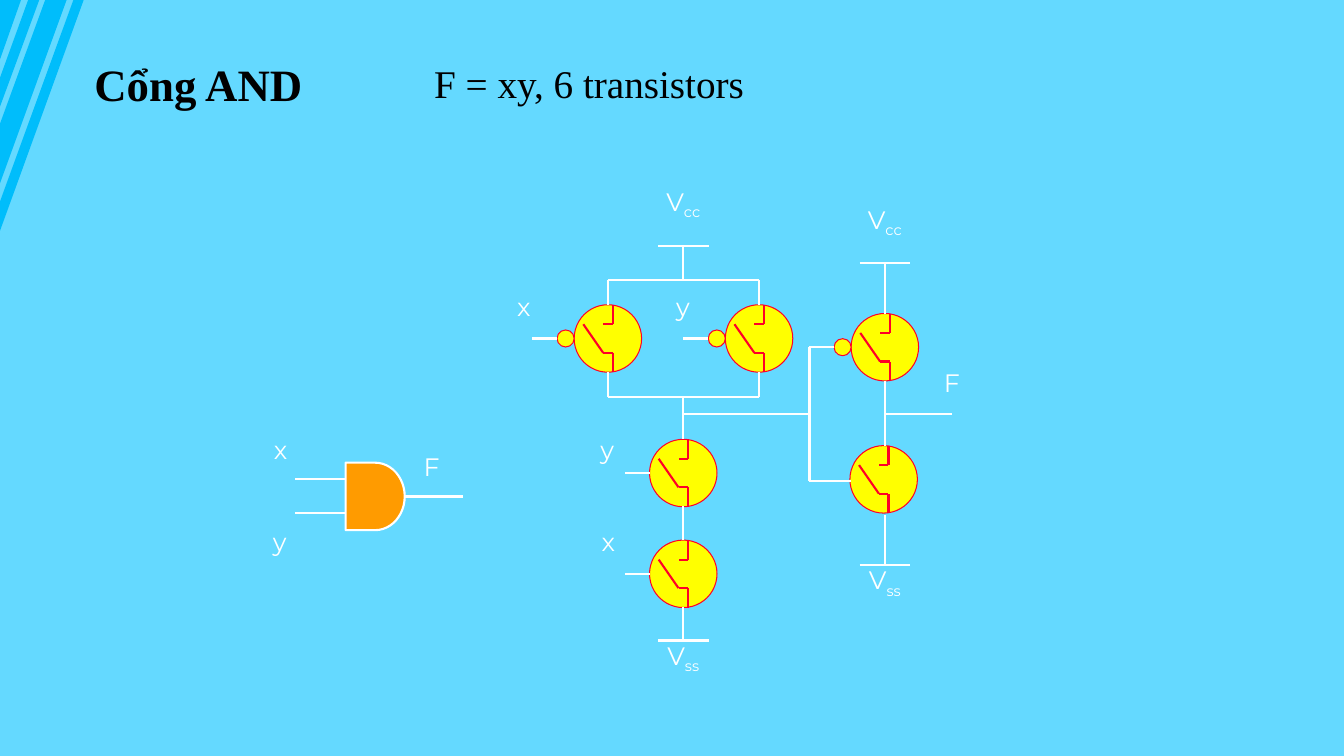
import itertools

import pptx
import pptx.dml.color
import pptx.enum.shapes
import pptx.enum.text
import pptx.oxml.ns
import pptx.util
from lxml import etree

Cm = pptx.util.Cm
Pt = pptx.util.Pt
RGBColor = pptx.dml.color.RGBColor
MSO_SHAPE = pptx.enum.shapes.MSO_SHAPE
PP_ALIGN = pptx.enum.text.PP_ALIGN
MSO_ANCHOR = pptx.enum.text.MSO_ANCHOR

SKY = RGBColor(0x64, 0xD9, 0xFF)
STRIPE = RGBColor(0x00, 0xBD, 0xFB)
BLACK = RGBColor(0x00, 0x00, 0x00)
WHITE = RGBColor(0xFF, 0xFF, 0xFF)
ORANGE = RGBColor(0xFF, 0x9B, 0x00)
YELLOW = RGBColor(0xFF, 0xFF, 0x00)
RED = RGBColor(0xFF, 0x00, 0x28)

RADIUS = 0.85   # transistor circle
BUBBLE = 0.43   # inversion circle diameter
RAIL = 1.27     # supply rail length


class CircuitSlide:
    """Draws on one slide; all lengths are in centimetres."""

    heading_font = "Times New Roman"
    label_font = "Montserrat"

    def __init__(self, prs):
        self.slide = prs.slides.add_slide(prs.slide_layouts[6])
        self.slide.background.fill.solid()
        self.slide.background.fill.fore_color.rgb = SKY
        self.shapes = self.slide.shapes

    def start_group(self):
        """Send the elements that follow into a new group."""
        self.shapes = self.slide.shapes.add_group_shape().shapes

    def stripes(self, bands):
        """Slanted corner bands: (inner x, outer x, inner y, outer y)."""
        builder = None
        for x1, x2, y1, y2 in bands:
            start = Cm(x1), Cm(0)
            if builder is None:
                builder = self.shapes.build_freeform(*start)
            else:
                builder.move_to(*start)
            builder.add_line_segments(
                [(Cm(x2), Cm(0)), (Cm(0), Cm(y2)), (Cm(0), Cm(y1))])
        sp = builder.convert_to_shape()
        sp.shadow.inherit = False
        sp.fill.solid()
        sp.fill.fore_color.rgb = STRIPE
        sp.line.fill.background()

    def shape(self, kind, x, y, w, h, fill, line, weight):
        sp = self.shapes.add_shape(kind, Cm(x), Cm(y), Cm(w), Cm(h))
        sp.shadow.inherit = False
        sp.fill.solid()
        sp.fill.fore_color.rgb = fill
        sp.line.color.rgb = line
        sp.line.width = Pt(weight)
        return sp

    def circle(self, x, y, d):
        self.shape(MSO_SHAPE.FLOWCHART_CONNECTOR, x, y, d, d, YELLOW, RED, 0.75)

    def wire(self, *points, color=WHITE):
        """Join the points with straight lines and return the last one."""
        for (x1, y1), (x2, y2) in itertools.pairwise(points):
            cxn = self.shapes.add_connector(
                pptx.enum.shapes.MSO_CONNECTOR.STRAIGHT,
                Cm(x1), Cm(y1), Cm(x2), Cm(y2))
            cxn.line.color.rgb = color
            cxn.line.width = Pt(1.5)
            etree.SubElement(cxn._element.spPr, pptx.oxml.ns.qn("a:effectLst"))
        return cxn

    def transistor(self, cx, cy, inverted=False):
        self.circle(cx - RADIUS, cy - RADIUS, 2 * RADIUS)
        stem, arm = cx + 0.12, cx - 0.12
        self.wire((stem, cy - RADIUS), (stem, cy - 0.36), (arm, cy - 0.36), color=RED)
        self.wire((stem, cy + RADIUS), (stem, cy + 0.36), (arm, cy + 0.36),
                  (cx - 0.62, cy - 0.36), color=RED)
        if inverted:
            self.circle(cx - RADIUS - BUBBLE, cy - BUBBLE / 2, BUBBLE)

    def supply(self, cx, rail_y, end_y):
        """A supply rail with its lead."""
        self.wire((cx - RAIL / 2, rail_y), (cx + RAIL / 2, rail_y))
        self.wire((cx, rail_y), (cx, end_y))

    def text_box(self, x, y, w, h, anchor):
        tf = self.shapes.add_textbox(Cm(x), Cm(y), Cm(w), Cm(h)).text_frame
        tf.word_wrap = False
        tf.auto_size = pptx.enum.text.MSO_AUTO_SIZE.SHAPE_TO_FIT_TEXT
        tf.vertical_anchor = anchor
        return tf.paragraphs[0]

    def run(self, p, text, font, size, color, bold=False):
        r = p.add_run()
        r.text = text
        r.font.name = font
        r.font.size = Pt(size)
        r.font.color.rgb = color
        r.font.bold = bold
        return r

    def heading(self, text, x, y, w, h, size, anchor, bold=False):
        p = self.text_box(x, y, w, h, anchor)
        self.run(p, text, self.heading_font, size, BLACK, bold)

    def label(self, text, cx, y, sub=""):
        w = 1.55 if sub else 0.94
        p = self.text_box(cx - w / 2, y, w, 1.02, MSO_ANCHOR.BOTTOM)
        p.alignment = PP_ALIGN.CENTER
        self.run(p, text, self.label_font, 18, WHITE)
        if sub:
            r = self.run(p, sub, self.label_font, 18, WHITE)
            r._r.get_or_add_rPr().set("baseline", "-25000")


def draw_gate_symbol(s):
    gate = s.shape(MSO_SHAPE.FLOWCHART_DELAY, 8.71, 11.66, 1.49, 1.7, ORANGE, WHITE, 1.5)
    for y in (12.08, 12.93):
        s.wire((7.44, y), (8.71, y))
    s.wire((10.2, 12.51), (11.68, 12.51)).begin_connect(gate, 3)
    s.label("x", 7.07, 10.82)
    s.label("F", 10.88, 11.23)
    s.label("y", 7.05, 13.13)


def draw_nand_stage(s):
    mid, left, right = 17.22, 15.32, 19.13
    for cx in (left, right):
        s.transistor(cx, 8.53, inverted=True)
        s.wire((cx - RADIUS - BUBBLE, 8.53), (cx - 1.91, 8.53))
    for cy in (11.92, 14.46):
        s.transistor(mid, cy)
        s.wire((mid - RADIUS, cy), (15.75, cy))
    s.supply(mid, 6.19, 7.05)
    s.supply(mid, 16.14, 15.3)
    s.wire((left, 7.68), (left, 7.05), (right, 7.05), (right, 7.68))
    s.wire((left, 9.37), (left, 10.01), (right, 10.01), (right, 9.37))
    s.wire((mid, 10.01), (mid, 11.07))
    s.wire((mid, 12.76), (mid, 13.61))
    s.wire((mid, 10.43), (20.4, 10.43))
    s.label("V", mid, 4.67, "cc")
    s.label("V", mid, 16.1, "ss")
    s.label("x", 13.2, 7.21)
    s.label("y", 17.21, 7.21)
    s.label("x", 15.33, 13.13)
    s.label("y", 15.3, 10.82)


def draw_inverter_stage(s):
    mid, bus = 22.3, 20.4
    s.transistor(mid, 8.75, inverted=True)
    s.transistor(22.27, 12.08)
    s.supply(mid, 6.62, 7.9)
    s.supply(mid, 14.24, 12.97)
    s.wire((mid, 9.59), (mid, 11.24))
    s.wire((21.03, 8.75), (bus, 8.75), (bus, 12.12), (21.45, 12.12))
    s.wire((mid, 10.43), (24, 10.43))
    s.label("F", 23.99, 9.12)
    s.label("V", mid, 5.11, "cc")
    s.label("V", mid, 14.2, "ss")


def main():
    prs = pptx.Presentation()
    prs.slide_width, prs.slide_height = Cm(33.87), Cm(19.05)
    s = CircuitSlide(prs)
    s.stripes([(1.85, 2.11, 5.08, 5.82), (0.71, 0.99, 1.96, 2.69),
               (1.14, 1.68, 3.12, 4.62), (0, 0.53, 0, 1.5)])
    s.heading("Cổng AND", 2.13, 1.3, 5.79, 1.62, 32, MSO_ANCHOR.MIDDLE, bold=True)
    s.heading("F = xy, 6 transistors", 10.69, 1.37, 8.41, 1.45, 28, MSO_ANCHOR.TOP)
    draw_gate_symbol(s)
    s.start_group()
    draw_nand_stage(s)
    s.start_group()
    draw_inverter_stage(s)
    prs.save("out.pptx")


if __name__ == "__main__":
    main()
